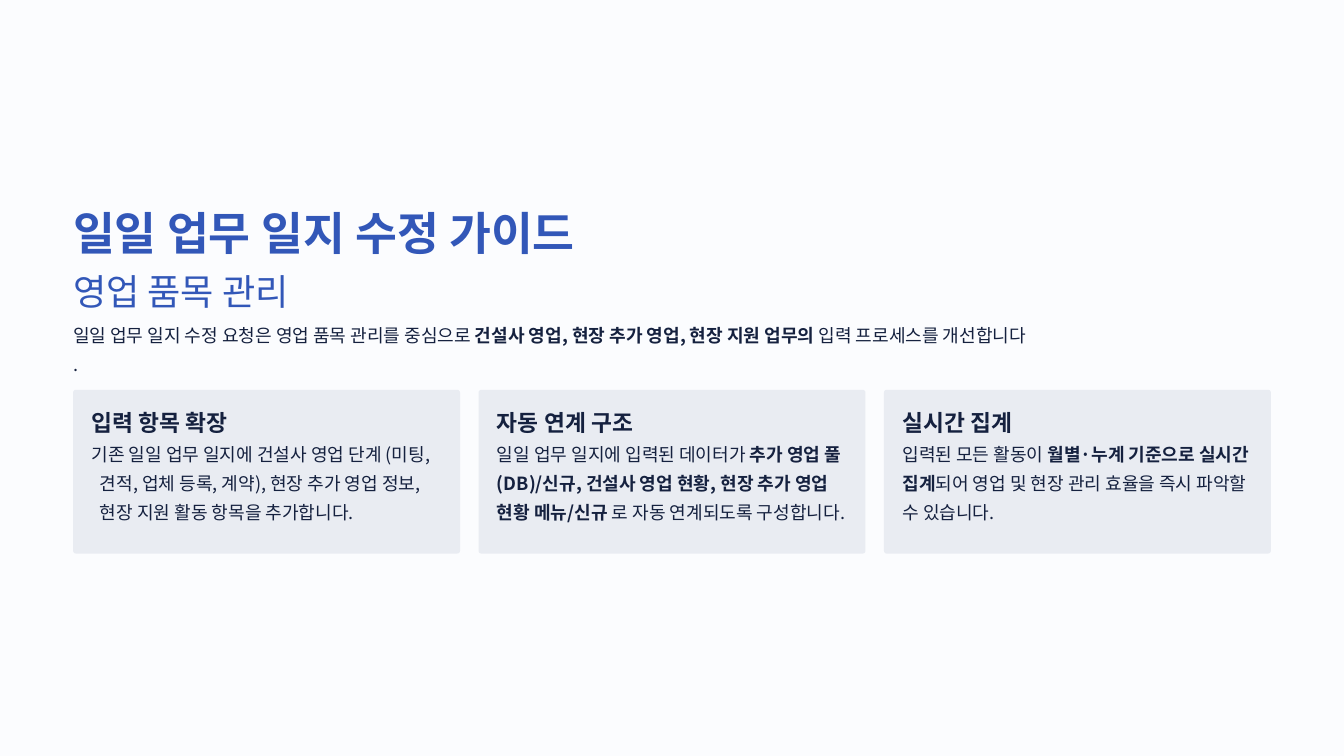
from lxml import etree
from pptx import Presentation
from pptx.dml.color import RGBColor
from pptx.enum.shapes import MSO_SHAPE
from pptx.enum.text import MSO_ANCHOR, MSO_AUTO_SIZE, PP_ALIGN
from pptx.oxml.ns import qn
from pptx.util import Inches, Pt

ROUNDED = MSO_SHAPE.ROUNDED_RECTANGLE
TOP, NO_FIT, LEFT = MSO_ANCHOR.TOP, MSO_AUTO_SIZE.NONE, PP_ALIGN.LEFT

COLORS = {"page": "FBFCFE", "accent": "3257B8", "ink": "15213F", "card": "E9ECF2"}
KOREAN, LATIN = "Noto Sans CJK KR", "Arial"

# Three-column grid, in inches
MARGIN, GAP, CONTENT_W, PAD = 0.87, 0.22, 14.26, 0.22
COL_W = (CONTENT_W - 2 * GAP) / 3
CARD_TOP, CARD_H = 4.64, 1.95


def color(name):
    return RGBColor.from_string(COLORS[name])


class GuideSlide:
    def __init__(self, prs):
        self.s = prs.slides.add_slide(prs.slide_layouts[5])
        fill = self.s.background.fill
        fill.solid()
        fill.fore_color.rgb = color("page")

    def column(self, index):
        return MARGIN + index * (COL_W + GAP)

    def set_text(self, sp, box, paragraphs, size, leading, ink="ink",
                 bold=False, wrap=False, font=KOREAN):
        """Each paragraph is a list of runs; every second run is bold."""
        sp.left, sp.top, sp.width, sp.height = map(Inches, box)
        tf = sp.text_frame
        tf.margin_left = tf.margin_right = tf.margin_top = tf.margin_bottom = 0
        tf.word_wrap, tf.auto_size, tf.vertical_anchor = wrap, NO_FIT, TOP
        for i, runs in enumerate(paragraphs):
            p = tf.add_paragraph() if i else tf.paragraphs[0]
            p.alignment, p.line_spacing = LEFT, Pt(leading)
            p.space_before = p.space_after = Pt(0)
            for j, text in enumerate(runs):
                r = p.add_run()
                r.text = text
                r.font.name, r.font.size = font, Pt(size)
                r.font.bold = bold or j % 2 == 1
                r.font.color.rgb = color(ink)
                # Hangul takes the East Asian typeface
                etree.SubElement(r._r.get_or_add_rPr(), qn("a:ea"), typeface=KOREAN)
        return tf

    def title(self, text, *box):
        self.set_text(self.s.shapes.title, box, [[text]], 39, 48.5, "accent", bold=True)

    def text(self, box, paragraphs, size, leading, **style):
        sp = self.s.shapes.add_textbox(0, 0, 0, 0)
        return self.set_text(sp, box, paragraphs, size, leading, **style)

    def card(self, index, heading, runs, font=KOREAN, hanging=0):
        x = self.column(index)
        sp = self.s.shapes.add_shape(
            ROUNDED, *map(Inches, (x, CARD_TOP, COL_W, CARD_H)))
        sp.adjustments[0] = 0.017
        sp.shadow.inherit = False
        sp.fill.solid()
        sp.fill.fore_color.rgb = color("card")
        sp.line.fill.background()
        self.text((x + PAD, CARD_TOP + PAD, 2.71, 0.34), [[heading]], 19.5, 24,
                  bold=True, font=font)
        tf = self.text((x + PAD, CARD_TOP + 0.55, COL_W - 2 * PAD, 1.04), [runs],
                       15.5, 25, wrap=True)
        if hanging:
            pPr = tf.paragraphs[0]._p.get_or_add_pPr()
            pPr.set("marL", str(Inches(hanging)))
            pPr.set("indent", str(-Inches(hanging)))


CARDS = [
    ("입력 항목 확장",
     ["기존 일일 업무 일지에 건설사 영업 단계 (미팅, 견적, 업체 등록, 계약), "
      "현장 추가 영업 정보, 현장 지원 활동 항목을 추가합니다."],
     LATIN, 0.1),
    ("자동 연계 구조",
     ["일일 업무 일지에 입력된 데이터가 ",
      "추가 영업 풀(DB)/신규, 건설사 영업 현황, 현장 추가 영업 현황 메뉴/신규 ",
      "로 자동 연계되도록 구성합니다."]),
    ("실시간 집계",
     ["입력된 모든 활동이 ", "월별·누계 기준으로 실시간 집계",
      "되어 영업 및 현장 관리 효율을 즉시 파악할 수 있습니다."]),
]


def main():
    prs = Presentation()
    prs.slide_width, prs.slide_height = Inches(16), Inches(9)
    guide = GuideSlide(prs)

    # Heading and introduction
    guide.title("일일 업무 일지 수정 가이드", MARGIN, 2.42, 6.03, 0.68)
    guide.text((MARGIN, 3.18, 4.34, 0.54), [["영업 품목 관리"]], 31, 39, ink="accent")
    guide.text((MARGIN, 3.77, CONTENT_W, 0.35),
               [["일일 업무 일지 수정 요청은 영업 품목 관리를 중심으로 ",
                 "건설사 영업, 현장 추가 영업, 현장 지원 업무의 ",
                 "입력 프로세스를 개선합니다"], ["."]], 15.5, 25)

    # Cards
    for index, card in enumerate(CARDS):
        guide.card(index, *card)

    prs.save("out.pptx")


if __name__ == "__main__":
    main()
